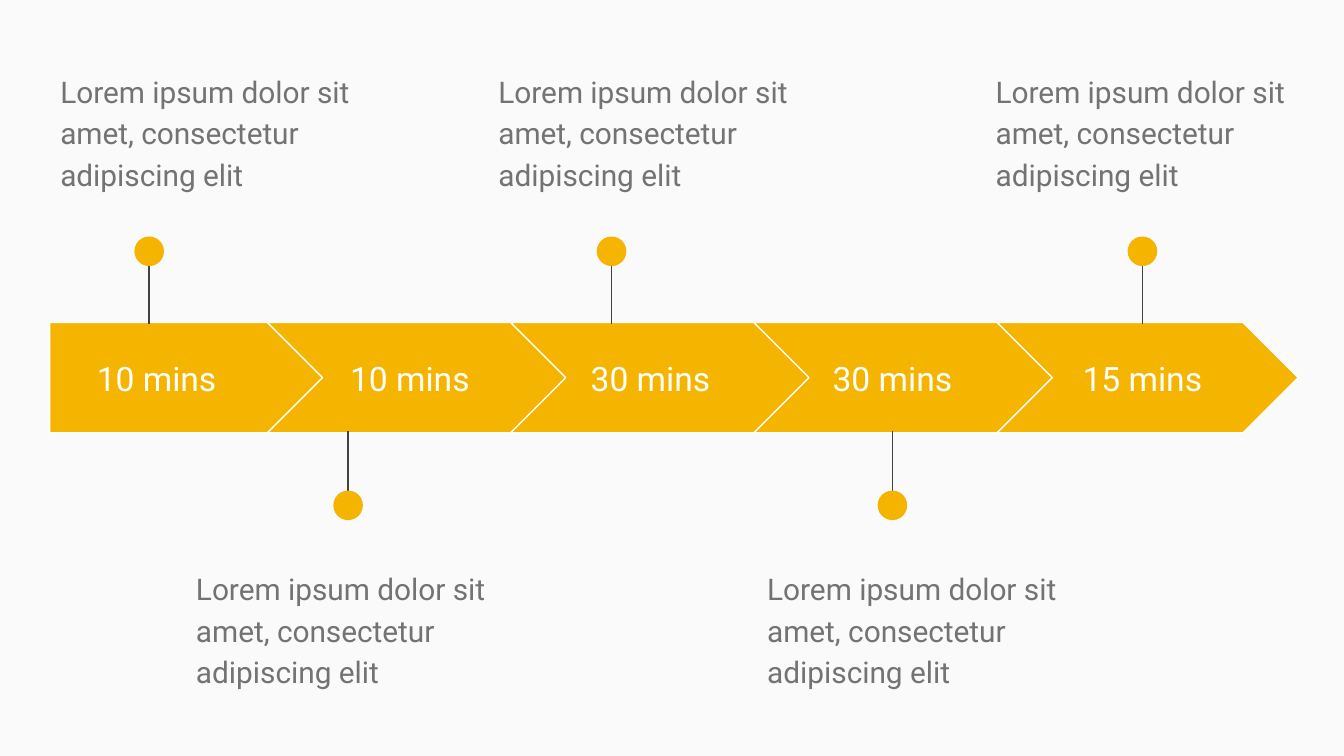
from dataclasses import dataclass

from lxml.etree import SubElement
from pptx import Presentation
from pptx.dml.color import RGBColor as Rgb
from pptx.enum.shapes import MSO_CONNECTOR as Link, MSO_SHAPE as Kind
from pptx.enum.text import MSO_ANCHOR as Anchor, PP_ALIGN as Align
from pptx.oxml.ns import qn
from pptx.util import Inches, Pt


@dataclass(frozen=True)
class Theme:
    """Colours, font and type sizes of the slide."""
    back: Rgb = Rgb.from_string("FAFAFA")
    gold: Rgb = Rgb.from_string("F4B400")
    white: Rgb = Rgb.from_string("FFFFFF")
    dark: Rgb = Rgb.from_string("424242")
    grey: Rgb = Rgb.from_string("737373")
    font: str = "Roboto"
    label: int = 18
    note: int = 16
    rule: float = 0.75


THEME = Theme()
NOTE = "Lorem ipsum dolor sit amet, consectetur adipiscing elit"
LEFT, TOP, HIGH = 0.37, 2.4, 0.82
WIDE, STEP, SECOND = 2.24, 1.81, 1.99
STEPS = [
    ("10 mins", 0.37, 1.59, 1.11, 0.35, True),
    ("10 mins", 2.33, 1.44, 2.59, 1.36, False),
    ("30 mins", 4.12, 1.44, 4.55, 3.61, True),
    ("30 mins", 5.92, 1.44, 6.64, 5.61, False),
    ("15 mins", 7.78, 1.44, 8.5, 7.31, True),
]


def add_form(slide, kind, box, edge=None):
    """Add a gold shape in the box, with an optional outline colour."""
    form = slide.shapes.add_shape(kind, *map(Inches, box))
    form.shadow.inherit = False
    form.fill.solid()
    form.fill.fore_color.rgb = THEME.gold
    if edge is None:
        form.line.fill.background()
    else:
        form.line.color.rgb = edge
        form.line.width = Pt(THEME.rule)
    return form


def add_text(slide, box, text, size, color, anchor, style):
    """Add a wrapped text box with the given paragraph format."""
    frame = slide.shapes.add_textbox(*map(Inches, box)).text_frame
    sides = ("left", "right", "top", "bottom")
    setup = {f"margin_{side}": Inches(0.1) for side in sides}
    setup |= {"word_wrap": True, "vertical_anchor": anchor}
    for name, value in setup.items():
        setattr(frame, name, value)
    para = frame.paragraphs[0]
    for name, value in style.items():
        setattr(para, name, value)
    run = para.add_run()
    run.text = text
    run.font.name = THEME.font
    run.font.size = Pt(size)
    run.font.color.rgb = color


def add_arrow(slide, box, kind, text, x, width):
    """Draw one arrow segment with its duration at the given x."""
    form = add_form(slide, kind, box, THEME.white)
    form.adjustments[0] = 0.5
    add_text(slide, (x, box[1] + 0.16, width, 0.51), text, THEME.label,
             THEME.white, Anchor.MIDDLE, {"alignment": Align.CENTER})


def add_pin(slide, box, above):
    """Draw a stem and dot in the box, with the dot away from the arrows."""
    left, top, wide, high = box
    mid = left + wide / 2
    ends = (mid, top + 0.04, mid, top + high)
    if not above:
        ends = (mid, top + high - 0.05, mid, top)
    stem = slide.shapes.add_connector(Link.STRAIGHT, *map(Inches, ends))
    stem.line.color.rgb = THEME.dark
    stem.line.width = Pt(THEME.rule)
    SubElement(stem.element.spPr, qn("a:effectLst"))
    dot = top if above else top + high - wide
    add_form(slide, Kind.OVAL, (left, dot, wide, wide))


def add_note(slide, box):
    """Place the description in the box."""
    style = {"line_spacing": 1.15, "space_after": Pt(16)}
    add_text(slide, box, NOTE, THEME.note, THEME.grey, Anchor.TOP, style)


def add_line(slide):
    """Build the timeline from its segments, pins and notes."""
    for i, (text, x, width, pin, note, above) in enumerate(STEPS):
        first = i == 0
        kind = Kind.PENTAGON if first else Kind.CHEVRON
        left = LEFT if first else SECOND + STEP * (i - 1)
        wide = 2.05 if first else WIDE
        stand = (1.76, 0.65) if above else (3.21, 0.66)
        add_arrow(slide, (left, TOP, wide, HIGH), kind, text, x, width)
        add_pin(slide, (pin - 0.11, stand[0], 0.22, stand[1]), above)
        add_note(slide, (note, 0.41 if above else 4.11, 2.45, 0.99))


def main():
    """Create and save the presentation."""
    deck = Presentation()
    deck.slide_width = Inches(10)
    deck.slide_height = deck.slide_width * 9 // 16
    slide = deck.slides.add_slide(deck.slide_layouts[6])
    slide.background.fill.solid()
    slide.background.fill.fore_color.rgb = THEME.back
    add_line(slide)
    deck.save("out.pptx")


if __name__ == "__main__":
    main()
